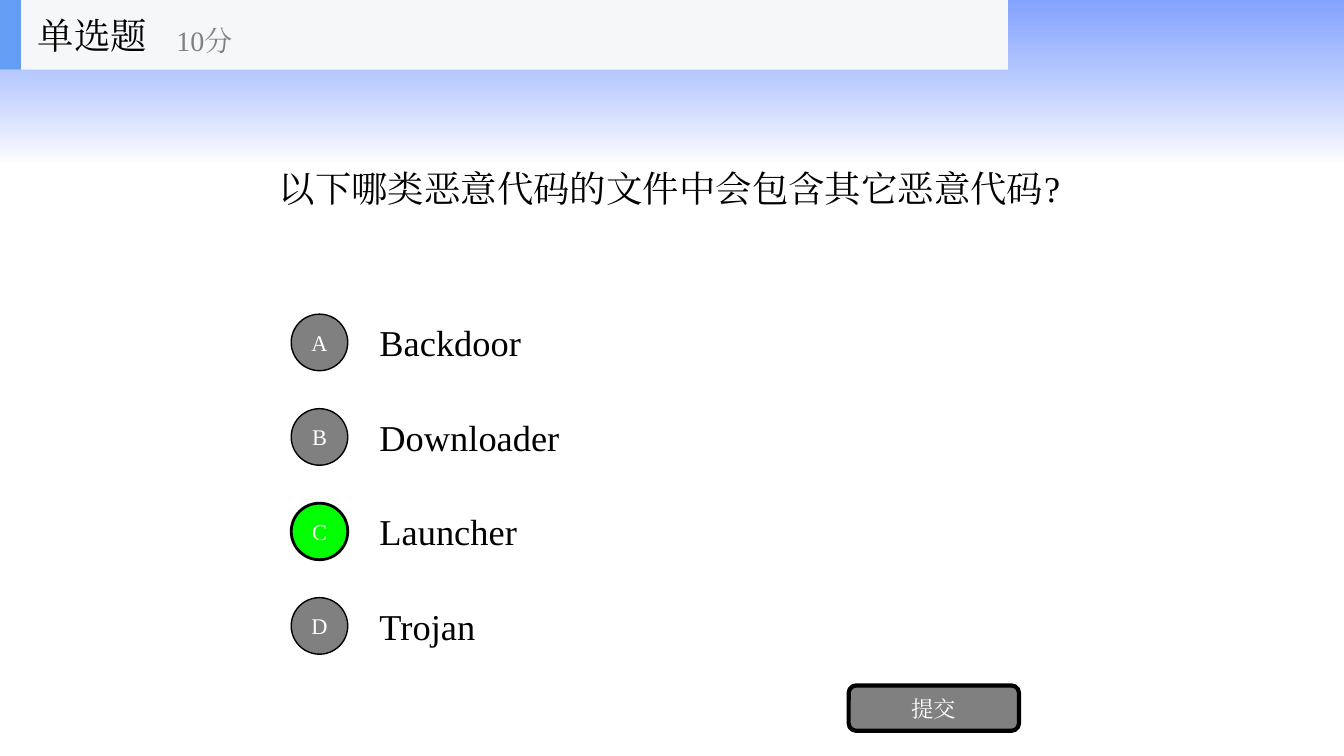
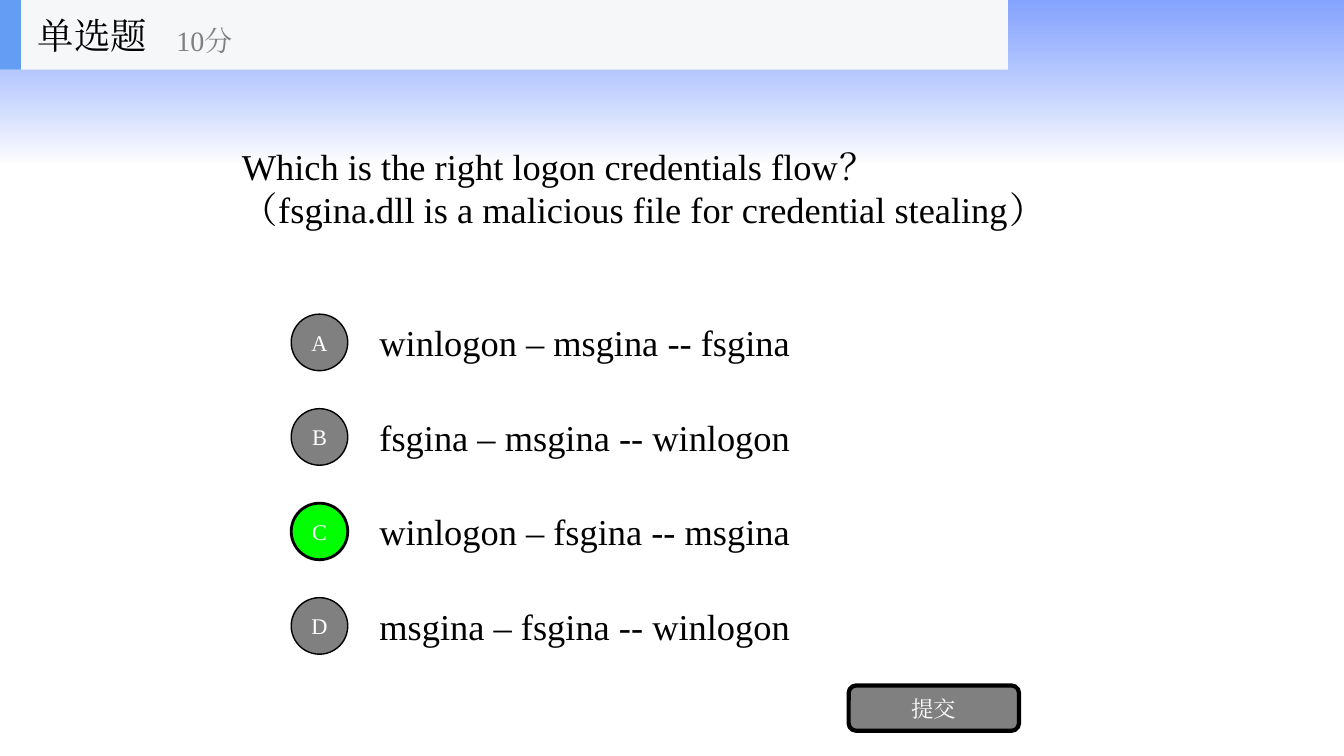
from dataclasses import dataclass

from lxml.etree import SubElement
from pptx import Presentation
from pptx.dml.color import RGBColor
from pptx.enum.shapes import MSO_SHAPE as Preset
from pptx.enum.text import MSO_ANCHOR as Anchor, PP_ALIGN as Align
from pptx.oxml.ns import qn
from pptx.util import Pt

HEADING, SCORE, SUBMIT = "单选题", "10分", "提交"

QUESTIONS = [
    {
        "lines": ["以下哪类恶意代码的文件中会包含其它恶意代码?"],
        "left": 192,
        "width": 576,
        "options": ["Backdoor", "Downloader", "Launcher", "Trojan"],
        "answer": "C",
    },
    {
        "lines": [
            "Which is the right logon credentials flow？",
            "（fsgina.dll is a malicious file for credential stealing）",
        ],
        "left": 165.6,
        "width": 602,
        "options": [
            "winlogon – msgina -- fsgina",
            "fsgina – msgina -- winlogon",
            "winlogon – fsgina -- msgina",
            "msgina – fsgina -- winlogon",
        ],
        "answer": "C",
    },
]


@dataclass(frozen=True)
class Theme:
    font: str = "Times New Roman"
    black: str = "000000"
    white: str = "FFFFFF"
    gray: str = "808080"
    correct: str = "00FF00"
    header: str = "F6F7F8"
    accent: str = "639EF4"
    gradient: tuple = (("3366FF", 60), ("FFFFFF", 70))
    body_size: int = 26
    score_size: int = 20
    label_size: int = 16


THEME = Theme()
SLIDE_WIDTH, SLIDE_HEIGHT = 960, 540
BAND_HEIGHT = 116.64
HEADER_WIDTH, HEADER_HEIGHT, ACCENT_WIDTH = 720, 49.7, 15
QUESTION_HEIGHT = 168.5
OPTION_LEFT, OPTION_TOP, OPTION_WIDTH, OPTION_HEIGHT = 264, 219.4, 504, 50.4
OPTION_PITCH = 67.5
BADGE_LEFT, BADGE_SIZE = 208, 40.4
BUTTON_BOX = (606.2, 489.6, 121.7, 32.4)


def color(code):
    return RGBColor.from_string(code)


def write(shape, lines, size, code, align=Align.LEFT):
    frame = shape.text_frame
    frame.text = "\n".join(lines)
    frame.word_wrap = True
    frame.vertical_anchor = Anchor.MIDDLE
    for paragraph in frame.paragraphs:
        paragraph.alignment = align
        for run in paragraph.runs:
            run.font.size = Pt(size)
            run.font.color.rgb = color(code)
            run.font.name = THEME.font
            SubElement(run.font._element, qn("a:ea"), typeface=THEME.font)


def add_text(shapes, box, lines, size, code=THEME.black):
    write(shapes.add_textbox(*map(Pt, box)), lines, size, code)


def add_block(shapes, preset, box, fill=None, line_width=0):
    shape = shapes.add_shape(preset, *map(Pt, box))
    shape.shadow.inherit = False
    if fill:
        shape.fill.solid()
        shape.fill.fore_color.rgb = color(fill)
    if line_width:
        shape.line.color.rgb = color(THEME.black)
        shape.line.width = Pt(line_width)
    else:
        shape.line.fill.background()
    return shape


def add_label(shapes, preset, box, text, fill, line_width):
    shape = add_block(shapes, preset, box, fill, line_width)
    frame = shape.text_frame
    frame.margin_left = frame.margin_right = Pt(0)
    frame.margin_top = frame.margin_bottom = Pt(0)
    write(shape, [text], THEME.label_size, THEME.white, Align.CENTER)


def add_band(shapes):
    band = add_block(shapes, Preset.RECTANGLE, (0, 0, SLIDE_WIDTH, BAND_HEIGHT))
    band.fill.gradient()
    band.fill.gradient_angle = 270
    for stop, (code, opacity) in zip(band.fill.gradient_stops, THEME.gradient):
        stop.color.rgb = color(code)
        color_element = stop._gs.find(qn("a:srgbClr"))
        SubElement(color_element, qn("a:alpha"), val=str(opacity * 1000))


def add_header(slide):
    shapes = slide.shapes.add_group_shape().shapes
    for width, fill in ((HEADER_WIDTH, THEME.header), (ACCENT_WIDTH, THEME.accent)):
        add_block(shapes, Preset.RECTANGLE, (0, 0, width, HEADER_HEIGHT), fill)
    add_text(shapes, (20, 0, 150, HEADER_HEIGHT), [HEADING], THEME.body_size)
    add_text(shapes, (119, 8.8, 180, 40.4), [SCORE], THEME.score_size, THEME.gray)


def add_options(shapes, options, answer):
    for index, option in enumerate(options):
        top = OPTION_TOP + index * OPTION_PITCH
        letter = "ABCD"[index]
        fill, line_width = (THEME.correct, 2) if letter == answer else (THEME.gray, 1)
        badge_top = top + (OPTION_HEIGHT - BADGE_SIZE) / 2
        add_text(shapes, (OPTION_LEFT, top, OPTION_WIDTH, OPTION_HEIGHT),
                 [option], THEME.body_size)
        add_label(shapes, Preset.OVAL, (BADGE_LEFT, badge_top, BADGE_SIZE, BADGE_SIZE),
                  letter, fill, line_width)


def add_question(presentation, question):
    slide = presentation.slides.add_slide(presentation.slide_layouts[6])
    slide.background.fill.solid()
    slide.background.fill.fore_color.rgb = color(THEME.white)
    add_band(slide.shapes)
    box = (question["left"], HEADER_HEIGHT, question["width"], QUESTION_HEIGHT)
    add_text(slide.shapes, box, question["lines"], THEME.body_size)
    add_options(slide.shapes, question["options"], question["answer"])
    add_label(slide.shapes, Preset.ROUNDED_RECTANGLE, BUTTON_BOX, SUBMIT, THEME.gray, 3)
    add_header(slide)


def main():
    presentation = Presentation()
    presentation.slide_width = Pt(SLIDE_WIDTH)
    presentation.slide_height = Pt(SLIDE_HEIGHT)
    for question in QUESTIONS:
        add_question(presentation, question)
    presentation.save("out.pptx")


if __name__ == "__main__":
    main()
